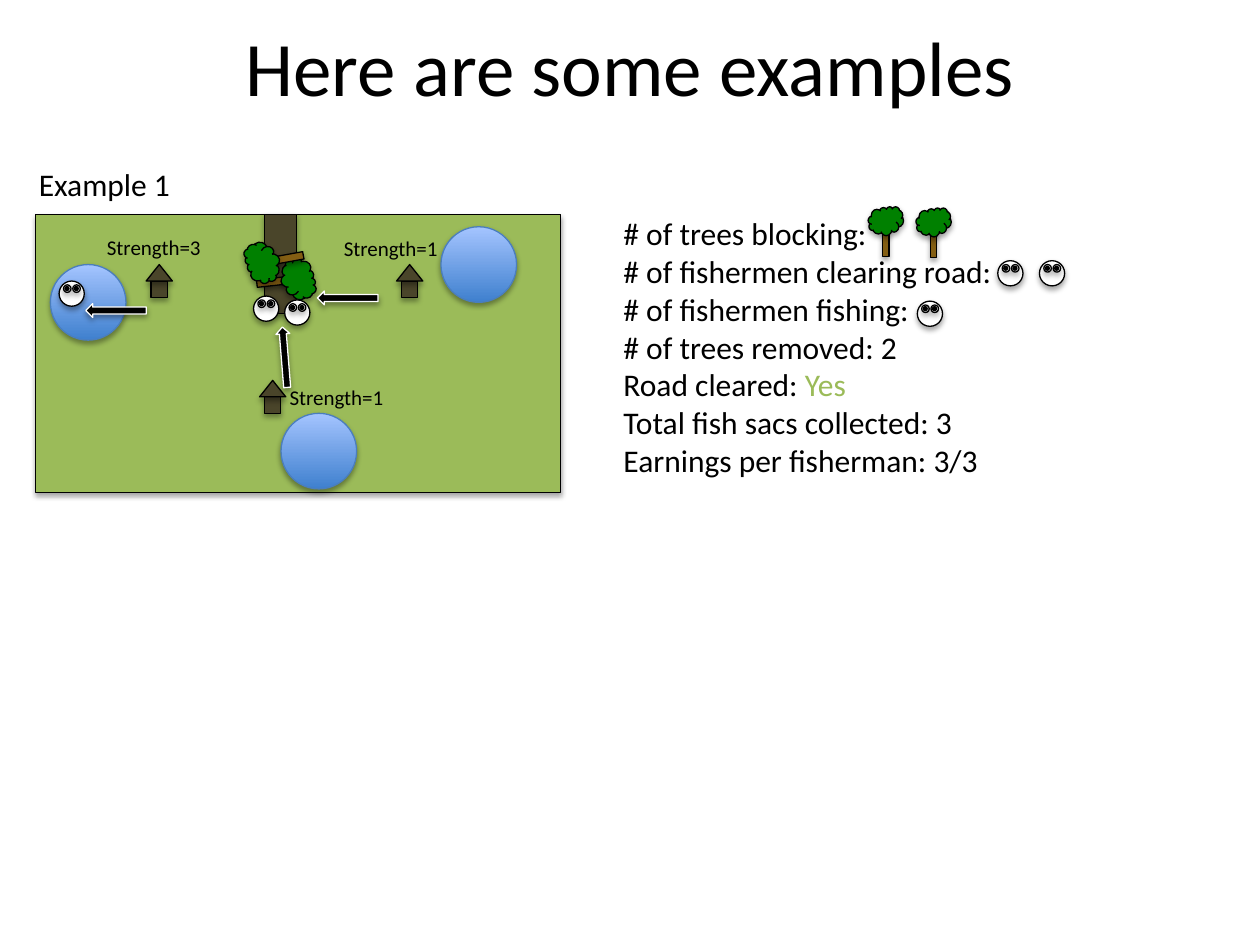
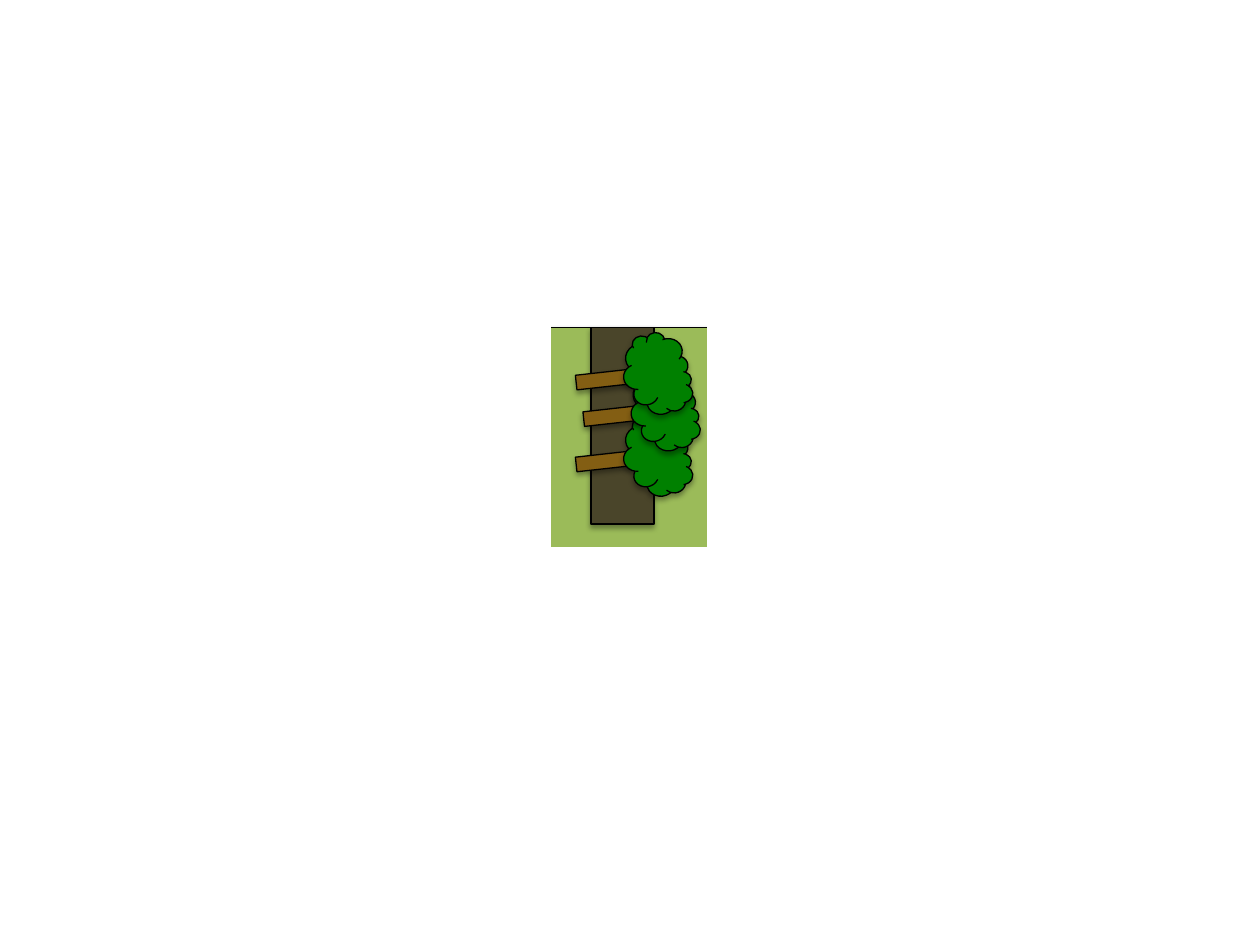
from math import cos, radians, sin

from lxml import etree
from pptx import Presentation
from pptx.dml.color import RGBColor
from pptx.enum.shapes import MSO_SHAPE
from pptx.enum.text import MSO_ANCHOR, MSO_AUTO_SIZE, PP_ALIGN
from pptx.oxml.ns import qn
from pptx.util import Pt

RECT, OVAL, CLOUD = MSO_SHAPE.RECTANGLE, MSO_SHAPE.OVAL, MSO_SHAPE.CLOUD
TRIANGLE, LEFT_ARROW = MSO_SHAPE.ISOSCELES_TRIANGLE, MSO_SHAPE.LEFT_ARROW
CENTER, MIDDLE = PP_ALIGN.CENTER, MSO_ANCHOR.MIDDLE
FIT_TEXT = MSO_AUTO_SIZE.SHAPE_TO_FIT_TEXT

FONT = "Calibri"
COLORS = {
    "black": "000000",
    "white": "FFFFFF",
    "grass": "9BBB59",
    "earth": "4A452A",
    "trunk": "835E13",
    "leaves": "008000",
    "water_dark": "3F80CE",
    "water_light": "A4C4FF",
    "shore": "4B7EBC",
}
LYING = 83.7


def rgb(name):
    return RGBColor.from_string(COLORS[name])


def add_shadow(sp):
    effects = sp._element.spPr.find(qn("a:effectLst"))
    shadow = etree.SubElement(
        effects, qn("a:outerShdw"), blurRad=str(Pt(3.1)), dist=str(Pt(1.8)),
        dir="5400000", rotWithShape="0")
    color = etree.SubElement(shadow, qn("a:srgbClr"), val=COLORS["black"])
    etree.SubElement(color, qn("a:alpha"), val="35000")


def add_figure(shapes, kind, box, fill=None, line="black", angle=0, shadow=True):
    """Add a preset shape; box is left, top, width, height in points."""
    sp = shapes.add_shape(kind, *map(Pt, box))
    sp.rotation = angle
    if fill:
        sp.fill.solid()
        sp.fill.fore_color.rgb = rgb(fill)
    else:
        sp.fill.background()
    sp.line.color.rgb = rgb(line)
    sp.line.width = Pt(0.75)
    sp.shadow.inherit = False
    if shadow:
        add_shadow(sp)
    return sp


def add_text(s, box, size, *lines):
    """Add a text box; each line is a list of (text, colour) runs."""
    tf = s.shapes.add_textbox(*map(Pt, box)).text_frame
    tf.word_wrap = False
    tf.auto_size = FIT_TEXT
    for i, runs in enumerate(lines):
        p = tf.add_paragraph() if i else tf.paragraphs[0]
        for text, color in runs:
            r = p.add_run()
            r.text = text
            r.font.name = FONT
            r.font.size = Pt(size)
            r.font.color.rgb = rgb(color)
    return tf


def add_title(s, text):
    tf = add_text(s, (36, -7.2, 648, 90), 44, [(text, "black")])
    tf.auto_size = MSO_AUTO_SIZE.NONE
    tf.word_wrap = True
    tf.vertical_anchor = MIDDLE
    tf.paragraphs[0].alignment = CENTER


def add_hut(s, x, y):
    shapes = s.shapes.add_group_shape().shapes
    add_figure(shapes, RECT, (x + 2.8, y + 9.4, 9.4, 9.4), "earth")
    add_figure(shapes, TRIANGLE, (x, y, 15, 9.4), "earth")


def add_pond(s, x, y):
    sp = add_figure(s.shapes, OVAL, (x, y, 43.2, 43.2), line="shore")
    sp.fill.gradient()
    sp.fill.gradient_angle = 90
    for stop, name in zip(sp.fill.gradient_stops, ("water_dark", "water_light")):
        stop.color.rgb = rgb(name)


def add_tree(s, cx, cy, width, angle=0):
    """Add a tree turned by angle, with its crown centred on cx, cy."""
    shapes = s.shapes.add_group_shape().shapes
    reach = 0.51 * width
    trunk_cx = cx - reach * sin(radians(angle))
    trunk_cy = cy + reach * cos(radians(angle))
    for kind, x, y, w, h, fill in (
        (RECT, trunk_cx, trunk_cy, 0.18 * width, 0.97 * width, "trunk"),
        (CLOUD, cx, cy, width, 0.82 * width, "leaves"),
    ):
        add_figure(shapes, kind, (x - w / 2, y - h / 2, w, h), fill, angle=angle)


def add_fisherman(s, x, y):
    shapes = s.shapes.add_group_shape().shapes
    add_figure(shapes, OVAL, (x, y, 14.4, 14.4), "white")
    for inset, drop, size, fill in ((2.5, 2.2, 4.3, None), (3.4, 3.2, 2.2, "black")):
        for eye in (0, 5.3):
            add_figure(shapes, OVAL, (x + inset + eye, y + drop, size, size), fill)


def add_arrow(s, x, y, angle=0):
    add_figure(s.shapes, LEFT_ARROW, (x, y, 34.6, 7.9), "black", "white", angle)


def build_examples(s):
    add_title(s, "Here are some examples")
    add_figure(s.shapes, RECT, (20.2, 122.4, 300.2, 159.1), "grass")
    for x, y in ((83.5, 151.2), (148.3, 217.4)):
        add_hut(s, x, y)
    for x, y in ((28.8, 151.2), (160.6, 236.2), (252, 129.6)):
        add_pond(s, x, y)
    add_figure(s.shapes, RECT, (151.2, 122.4, 18.2, 56.9), "earth")
    add_hut(s, 226.6, 151.2)
    add_tree(s, 170.3, 159.5, 23.8, LYING)
    add_tree(s, 150.1, 150.1, 23.8, 259.7)
    for x, y in ((162.7, 171.4), (144.9, 169.2)):
        add_fisherman(s, x, y)
    for x, y, strength in ((54, 130.3, 3), (189.4, 131, 1), (158.4, 216, 1)):
        add_text(s, (x, y, 69.1, 21.6), 12, [(f"Strength={strength}", "black")])

    add_text(
        s, (349.2, 118.8, 227.5, 159.8), 18,
        [("# of trees blocking:", "black")],
        [("# of fishermen clearing road:", "black")],
        [("# of fishermen fishing:", "black")],
        [("# of trees removed: 2", "black")],
        [("Road cleared: ", "black"), ("Yes", "grass")],
        [("Total fish sacs collected: 3", "black")],
        [("Earnings per fisherman: 3/3", "black")],
    )
    for cx, cy in ((506.2, 126.4), (533.5, 127.1)):
        add_tree(s, cx, cy, 20.2)
    for x, y in ((570.2, 149), (594, 149), (524.2, 172.1)):
        add_fisherman(s, x, y)
    for x, y, angle in ((49, 173.5, 0), (145.4, 200.2, 85.4), (181.4, 166.3, 0)):
        add_arrow(s, x, y, angle)
    add_fisherman(s, 33.8, 160.6)
    add_text(s, (15.1, 90.7, 90.7, 28.8), 18, [("Example 1", "black")])


def build_blocked_road(s):
    add_figure(s.shapes, RECT, (79.2, 187.2, 593.3, 313.9), "grass")
    add_figure(s.shapes, RECT, (337.7, 187.2, 36, 112.3), "earth")
    for cx, cy in ((375.5, 260.3), (379.8, 234.4), (375.5, 213.5)):
        add_tree(s, cx, cy, 46.8, LYING)
    # White panels frame the field down to the road
    for box in (
        (67, 163.4, 247.7, 350.6),
        (404.6, 169.2, 285.1, 350.6),
        (162, 313.2, 540, 218.9),
    ):
        add_figure(s.shapes, RECT, box, "white", "white", shadow=False)


def main():
    prs = Presentation()
    prs.slide_width, prs.slide_height = Pt(720), Pt(540)
    blank = prs.slide_layouts[6]
    for build in (build_examples, build_blocked_road):
        build(prs.slides.add_slide(blank))
    prs.save("out.pptx")


if __name__ == "__main__":
    main()
